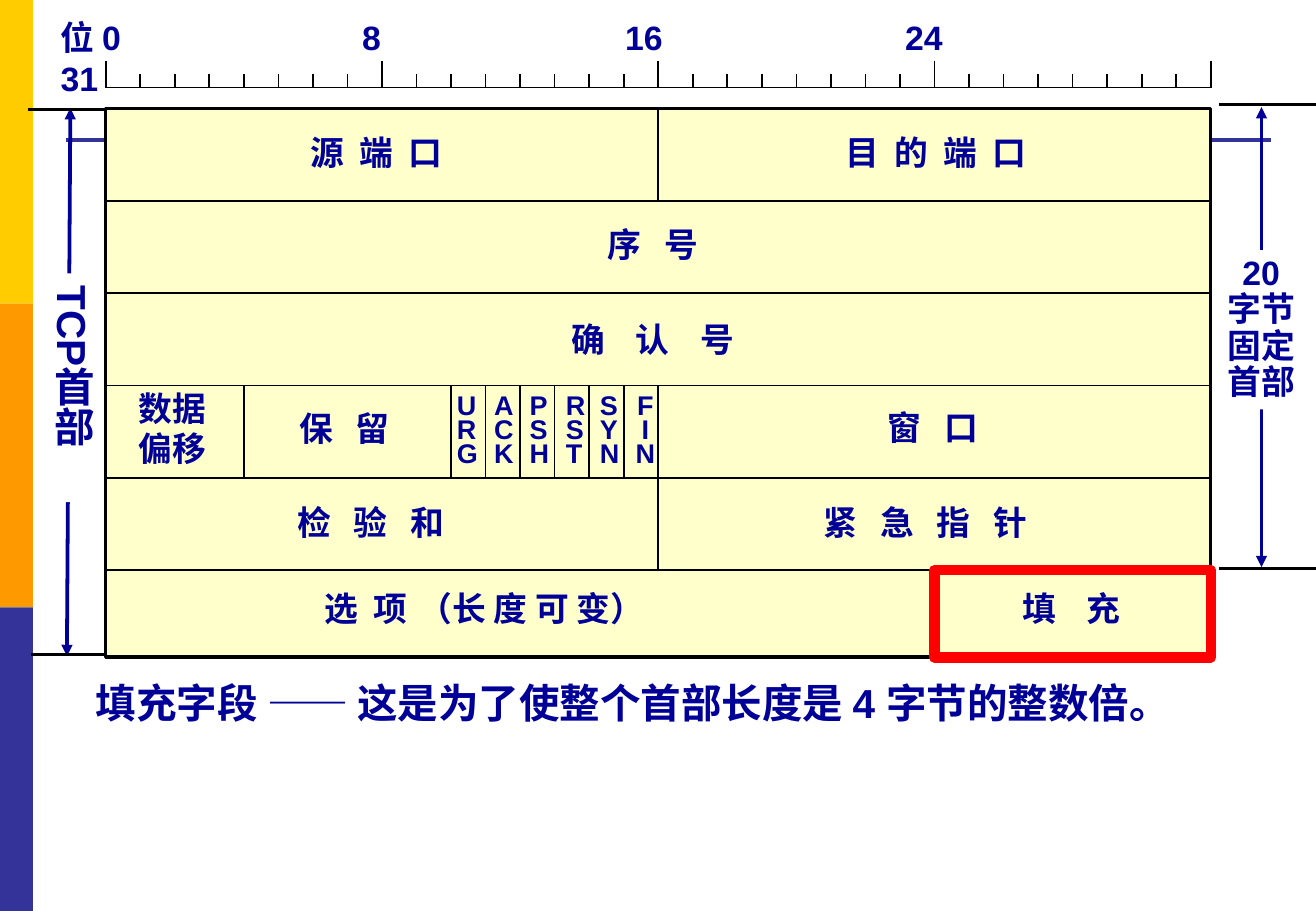
from lxml import etree
from pptx import Presentation
from pptx.dml.color import RGBColor
from pptx.enum.shapes import MSO_CONNECTOR, MSO_SHAPE
from pptx.enum.text import MSO_ANCHOR, MSO_AUTO_SIZE, PP_ALIGN
from pptx.oxml.ns import qn
from pptx.util import Cm, Pt

STRAIGHT, RECTANGLE = MSO_CONNECTOR.STRAIGHT, MSO_SHAPE.RECTANGLE
LEFT, CENTER = PP_ALIGN.LEFT, PP_ALIGN.CENTER
TOP, MIDDLE, BOTTOM = MSO_ANCHOR.TOP, MSO_ANCHOR.MIDDLE, MSO_ANCHOR.BOTTOM
NO_AUTOFIT = MSO_AUTO_SIZE.NONE

NAVY = RGBColor(0x00, 0x00, 0x99)
INDIGO = RGBColor(0x33, 0x33, 0x99)
YELLOW = RGBColor(0xFF, 0xCC, 0x00)
ORANGE = RGBColor(0xFF, 0x99, 0x00)
CREAM = RGBColor(0xFF, 0xFF, 0xCC)
WHITE = RGBColor(0xFF, 0xFF, 0xFF)
BLACK = RGBColor(0x00, 0x00, 0x00)
RED = RGBColor(0xFF, 0x00, 0x00)

SLIDE_WIDTH, SLIDE_HEIGHT = 27.51, 19.05
HEADER_LEFT, HEADER_TOP = 2.21, 2.27
HEADER_WIDTH, HEADER_HEIGHT = 23.1, 11.47
HEADER_RIGHT = HEADER_LEFT + HEADER_WIDTH
BIT = HEADER_WIDTH / 32
ROW = 1.93
RULER_Y = 1.83


def bit_x(bit):
    return HEADER_LEFT + bit * BIT


def row_y(row):
    return HEADER_TOP + row * ROW


class HeaderSlide:
    font = "Arial"
    color = NAVY

    def __init__(self, presentation):
        self.slide = presentation.slides.add_slide(presentation.slide_layouts[5])

    def rectangle(self, left, top, width, height, fill=None, line=None, weight=1):
        shape = self.slide.shapes.add_shape(
            RECTANGLE, Cm(left), Cm(top), Cm(width), Cm(height))
        shape.shadow.inherit = False
        if fill is None:
            shape.fill.background()
        else:
            shape.fill.solid()
            shape.fill.fore_color.rgb = fill
        if line is None:
            shape.line.fill.background()
        else:
            shape.line.color.rgb = line
            shape.line.width = Pt(weight)
        return shape

    def line(self, x1, y1, x2, y2, color=BLACK, weight=1, arrows=False):
        connector = self.slide.shapes.add_connector(
            STRAIGHT, Cm(x1), Cm(y1), Cm(x2), Cm(y2))
        connector.line.color.rgb = color
        connector.line.width = Pt(weight)
        if arrows:
            outline = connector.line._get_or_add_ln()
            for end in ("a:headEnd", "a:tailEnd"):
                etree.SubElement(outline, qn(end), type="triangle")
        etree.SubElement(connector._element.spPr, qn("a:effectLst"))

    def set_text(self, shape, lines, size=20, align=CENTER, anchor=TOP, spacing=None, tracking=0):
        """Fill a shape with one paragraph per line; tracking is in points."""
        frame = shape.text_frame
        frame.word_wrap = True
        frame.auto_size = NO_AUTOFIT
        frame.vertical_anchor = anchor
        for index, text in enumerate(lines):
            paragraph = frame.add_paragraph() if index else frame.paragraphs[0]
            paragraph.alignment = align
            if spacing:
                paragraph.line_spacing = spacing
            self.add_run(paragraph, text, size, tracking)
        return frame

    def add_run(self, paragraph, text, size=20, tracking=0):
        run = paragraph.add_run()
        run.text = text
        run.font.name = self.font
        run.font.size = Pt(size)
        run.font.bold = True
        run.font.color.rgb = self.color
        if tracking:
            run._r.get_or_add_rPr().set("spc", str(round(tracking * 100)))

    def text(self, left, top, width, height, lines, **style):
        box = self.slide.shapes.add_textbox(Cm(left), Cm(top), Cm(width), Cm(height))
        return self.set_text(box, lines, **style)

    def title(self, left, top, width, height, text):
        title = self.slide.shapes.title
        title.left, title.top = Cm(left), Cm(top)
        title.width, title.height = Cm(width), Cm(height)
        self.set_text(title, [text], size=24, align=LEFT, anchor=BOTTOM)

    def ruler_labels(self, tab_stops):
        """Add the bit numbers, each one placed by a tab stop."""
        frame = self.text(1.02, 0.23, 24.8, 2, ["位 0"], align=LEFT)
        paragraph = frame.paragraphs[0]
        tabs = etree.SubElement(paragraph._p.get_or_add_pPr(), qn("a:tabLst"))
        for number, position in tab_stops:
            etree.SubElement(tabs, qn("a:tab"), pos=str(Cm(position)), algn="l")
            self.add_run(paragraph, f"\t{number}")
        paragraph.add_line_break()
        self.add_run(paragraph, "31")


def draw_background(page):
    stripe = SLIDE_HEIGHT / 3
    for index, color in enumerate((YELLOW, ORANGE, INDIGO)):
        page.rectangle(0, index * stripe, 0.69, stripe, fill=color)
    page.line(1.37, 2.92, 26.57, 2.92, INDIGO, 2.25)


def draw_side_labels(page):
    page.line(1.47, 2.26, 1.4, 13.72, NAVY, 2.25, arrows=True)
    whole = page.rectangle(0.76, 5.72, 1.42, 4.78, fill=WHITE)
    frame = page.set_text(whole, ["TCP首部"], size=24, anchor=MIDDLE, spacing=0.9)
    frame._txBody.bodyPr.set("vert", "eaVert")
    page.line(26.37, 2.24, 26.37, 11.86, NAVY, 2.25, arrows=True)
    fixed = page.rectangle(25.4, 5.23, 1.93, 3.33, fill=WHITE)
    page.set_text(fixed, ["20", "字节", "固定", "首部"], spacing=0.9)
    for x1, x2, y in ((25.48, SLIDE_WIDTH, 2.18), (25.48, SLIDE_WIDTH, 11.89),
                      (0.58, 2.18, 2.29), (0.64, 2.24, 13.69)):
        page.line(x1, y, x2, y, weight=1.5)


def draw_ruler(page):
    page.line(HEADER_LEFT, RULER_Y, HEADER_RIGHT, RULER_Y)
    for bit in range(33):
        tick_top = 1.27 if bit % 8 == 0 else 1.55
        page.line(bit_x(bit), tick_top, bit_x(bit), RULER_Y)
    page.ruler_labels([(8, 6.3), (16, 11.8), (24, 17.65)])


def draw_header(page):
    page.rectangle(HEADER_LEFT, HEADER_TOP, HEADER_WIDTH, HEADER_HEIGHT, CREAM, BLACK, 2)
    for row in range(1, 6):
        page.line(HEADER_LEFT, row_y(row), HEADER_RIGHT, row_y(row))
    dividers = [(16, 0, 1), (16, 3, 5)]
    dividers += [(bit, 3, 4) for bit in (4, *range(10, 16))]
    for bit, first, last in dividers:
        page.line(bit_x(bit), row_y(first), bit_x(bit), row_y(last))

    # Field name, centre, top and extra letter spacing
    fields = (
        ("源 端 口", 7.87, 2.64, 2.25), ("目 的 端 口", 19.56, 2.64, 2.25),
        ("序 号", 13.65, 4.55, 4.5), ("确 认 号", 13.65, 6.55, 6.75),
        ("保 留", 7.2, 8.41, 4.5), ("窗 口", 19.5, 8.38, 4.5),
        ("检 验 和", 7.75, 10.36, 4.5), ("紧 急 指 针", 19.35, 10.36, 4.5),
        ("填 充", 22.4, 12.17, 6.75),
    )
    for name, center, top, tracking in fields:
        page.text(center - 2.75, top, 5.5, 1.09, [name], tracking=tracking)
    page.text(2.64, 7.98, 1.93, 1.96, ["数据", "偏移"])
    options = page.text(6.53, 12.17, 9.63, 1.09, ["选 项"], align=LEFT, tracking=2.25)
    page.add_run(options.paragraphs[0], " （长 度 可 变）")

    flags = (("URG", 9.3), ("ACK", 10.08), ("PSH", 10.82),
             ("RST", 11.58), ("SYN", 12.29), ("FIN", 12.99))
    for flag, left in flags:
        align = CENTER if flag == "FIN" else LEFT
        page.text(left, 8.15, 1, 1.78, flag, size=16, align=align, spacing=0.75)
    page.rectangle(bit_x(24), row_y(5), 8 * BIT, 1.83, line=RED, weight=6)


def main():
    presentation = Presentation()
    presentation.slide_width, presentation.slide_height = Cm(SLIDE_WIDTH), Cm(SLIDE_HEIGHT)
    page = HeaderSlide(presentation)
    draw_background(page)
    page.title(1.75, 14.05, 24.56, 1.27,
               "填充字段 —— 这是为了使整个首部长度是 4 字节的整数倍。")
    draw_side_labels(page)
    draw_header(page)
    draw_ruler(page)
    presentation.save("out.pptx")


if __name__ == "__main__":
    main()
